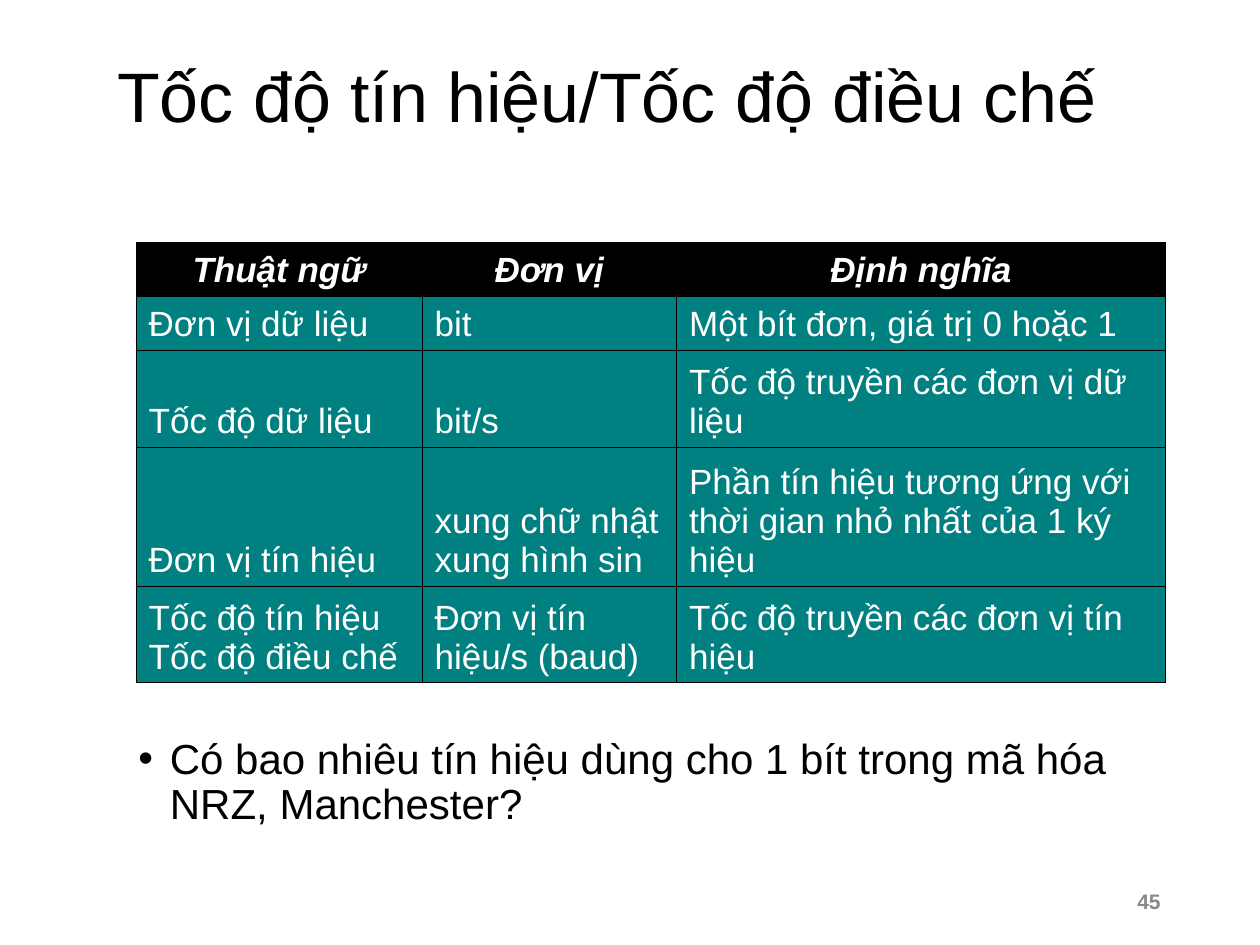
import pptx
import pptx.util
import pptx.dml.color
import pptx.enum.text
import pptx.oxml
import pptx.oxml.ns

COLORS = {"black": "000000", "white": "FFFFFF", "teal": "008080", "gray": "898989"}
ALIGN = pptx.enum.text.PP_ALIGN
ANCHOR = pptx.enum.text.MSO_ANCHOR
Inches = pptx.util.Inches


def add_text(para, text, size, color, bold=False, italic=False):
    """Add one run per line of text, with line breaks between them."""
    for index, line in enumerate(text.split("\n")):
        if index:
            para.add_line_break()
        span = para.add_run()
        span.text = line
        span.font.name = "Arial"
        span.font.size = pptx.util.Pt(size)
        span.font.bold = bold
        span.font.italic = italic
        span.font.color.rgb = pptx.dml.color.RGBColor.from_string(COLORS[color])


def add_borders(cell):
    for side in ("lnL", "lnR", "lnT", "lnB"):
        cell._tc.get_or_add_tcPr().append(pptx.oxml.parse_xml(
            f'<a:{side} {pptx.oxml.ns.nsdecls("a")} w="{int(pptx.util.Pt(0.45))}">'
            f'<a:solidFill><a:srgbClr val="{COLORS["black"]}"/></a:solidFill></a:{side}>'))


deck = pptx.Presentation()
deck.slide_width, deck.slide_height = Inches(10), Inches(7.5)
page = deck.slides.add_slide(deck.slide_layouts[5])

# Title
title = page.shapes.title
title.left, title.top = Inches(0.83), Inches(0.17)
title.width, title.height = Inches(8.67), Inches(1.25)
title.text_frame.vertical_anchor = ANCHOR.MIDDLE
para = title.text_frame.paragraphs[0]
para.alignment = ALIGN.LEFT
para.line_spacing = 0.9
add_text(para, "Tốc độ tín hiệu/Tốc độ điều chế", 40, "black")

# Table of terms
rows = [
    ("Thuật ngữ", "Đơn vị", "Định nghĩa"),
    ("Đơn vị dữ liệu", "bit", "Một bít đơn, giá trị 0 hoặc 1"),
    ("Tốc độ dữ liệu", "bit/s", "Tốc độ truyền các đơn vị dữ liệu"),
    ("Đơn vị tín hiệu", "xung chữ nhật\nxung hình sin",
     "Phần tín hiệu tương ứng với thời gian nhỏ nhất của 1 ký hiệu"),
    ("Tốc độ tín hiệu\nTốc độ điều chế", "Đơn vị tín hiệu/s (baud)",
     "Tốc độ truyền các đơn vị tín hiệu"),
]
widths = (2.27, 2.02, 3.88)
heights = (0.43, 0.43, 0.77, 1.1, 0.77)
table = page.shapes.add_table(len(rows), len(widths), Inches(1.08), Inches(1.92),
                              Inches(sum(widths)), Inches(sum(heights))).table
for column, width in zip(table.columns, widths):
    column.width = Inches(width)
for row_index, (texts, height) in enumerate(zip(rows, heights)):
    table.rows[row_index].height = Inches(height)
    header = row_index == 0
    for column_index, text in enumerate(texts):
        cell = table.cell(row_index, column_index)
        add_borders(cell)
        cell.fill.solid()
        cell.fill.fore_color.rgb = pptx.dml.color.RGBColor.from_string(
            COLORS["black" if header else "teal"])
        cell.vertical_anchor = ANCHOR.BOTTOM
        para = cell.text_frame.paragraphs[0]
        para.alignment = ALIGN.CENTER if header else ALIGN.LEFT
        add_text(para, text, 20, "white", bold=header, italic=header)

# Question under the table
question = page.shapes.add_textbox(Inches(1), Inches(5.81), Inches(8.41), Inches(0.92))
question.text_frame.word_wrap = True
para = question.text_frame.paragraphs[0]
para.line_spacing = 0.9
properties = para._p.get_or_add_pPr()
properties.set("marL", str(Inches(0.25)))
properties.set("indent", str(Inches(-0.25)))
properties.append(pptx.oxml.parse_xml(
    f'<a:buFont {pptx.oxml.ns.nsdecls("a")} typeface="Arial"/>'))
properties.append(pptx.oxml.parse_xml(
    f'<a:buChar {pptx.oxml.ns.nsdecls("a")} char="•"/>'))
add_text(para, "Có bao nhiêu tín hiệu dùng cho 1 bít trong mã hóa NRZ, Manchester?", 24, "black")

# Page number
number = page.shapes.add_textbox(Inches(7.06), Inches(6.95), Inches(2.25), Inches(0.4))
number.text_frame.word_wrap = True
number.text_frame.vertical_anchor = ANCHOR.MIDDLE
para = number.text_frame.paragraphs[0]
para.alignment = ALIGN.RIGHT
add_text(para, "45", 12, "gray", bold=True)

deck.save("out.pptx")
